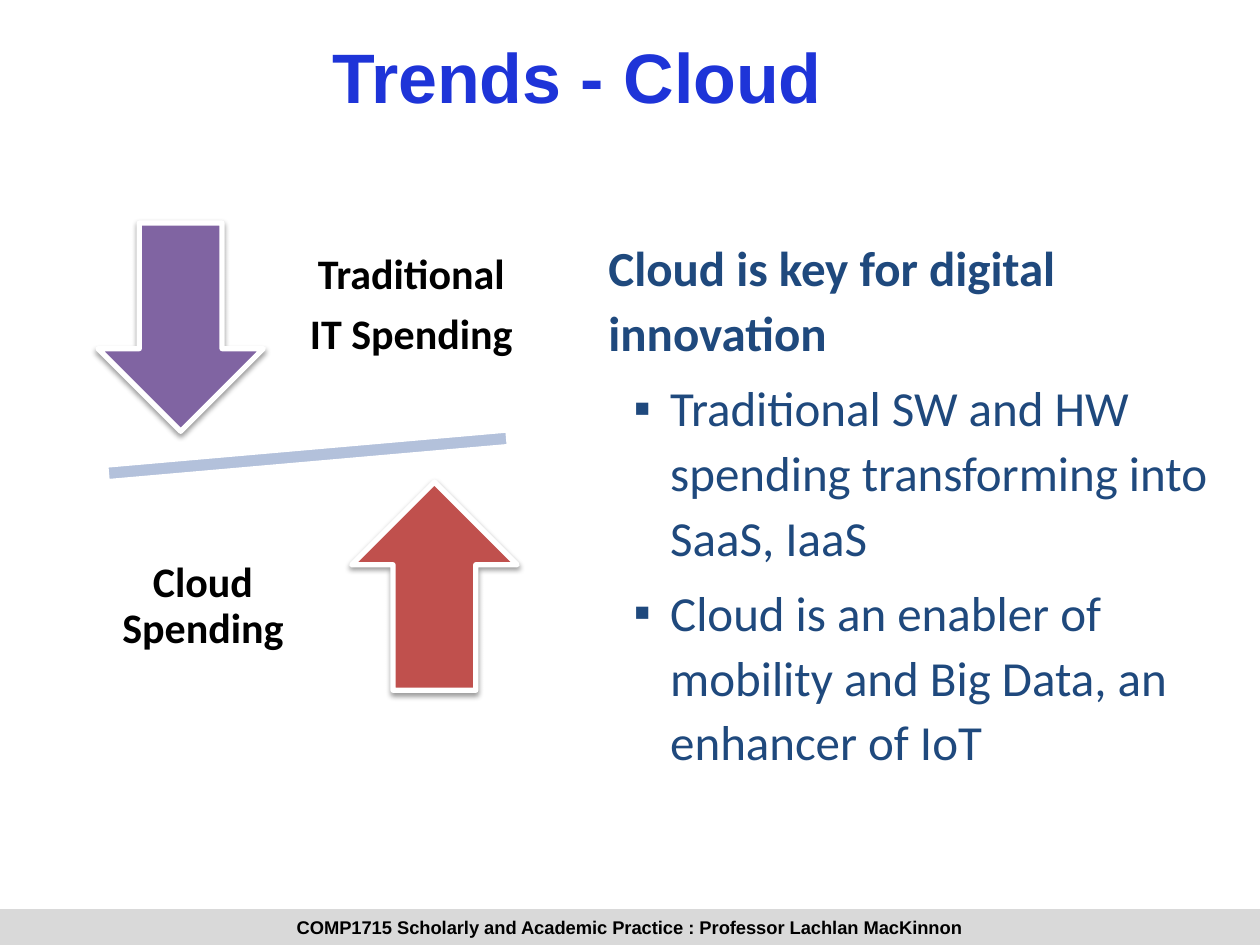
import pptx
import pptx.util
import pptx.dml.color
import pptx.enum.shapes
import pptx.enum.text
import pptx.oxml

Pt = pptx.util.Pt
SHAPE = pptx.enum.shapes.MSO_SHAPE
ALIGN = pptx.enum.text.PP_ALIGN
ANCHOR = pptx.enum.text.MSO_ANCHOR
NS = 'xmlns:a="http://schemas.openxmlformats.org/drawingml/2006/main"'
SHADOW = (f'<a:outerShdw {NS} blurRad="{Pt(3.1)}" dist="{Pt(1.6)}" dir="5400000" rotWithShape="0">'
          '<a:srgbClr val="000000"><a:alpha val="38000"/></a:srgbClr></a:outerShdw>')


def rgb(value):
    return pptx.dml.color.RGBColor.from_string(value)


def write(sp, lines, font, color, para, inset=(7.2, 3.6), anchor=ANCHOR.MIDDLE):
    tf = sp.text_frame
    frame = {"word_wrap": True, "auto_size": pptx.enum.text.MSO_AUTO_SIZE.NONE,
             "vertical_anchor": anchor,
             "margin_left": Pt(inset[0]), "margin_right": Pt(inset[0]),
             "margin_top": Pt(inset[1]), "margin_bottom": Pt(inset[1])}
    for key, value in frame.items():
        setattr(tf, key, value)
    for i, line in enumerate(lines):
        p = tf.paragraphs[0] if i == 0 else tf.add_paragraph()
        for key, value in para.items():
            setattr(p, key, value)
        r = p.add_run()
        r.text = line
        for key, value in font.items():
            setattr(r.font, key, value)
        r.font.color.rgb = rgb(color)


prs = pptx.Presentation()
prs.slide_width, prs.slide_height = Pt(720), Pt(540)
s = prs.slides.add_slide(prs.slide_layouts[1])
title, body = s.placeholders

shapes = [
    (SHAPE.RECTANGLE, (0, 519.5, 720, 20.5), "D9D9D9", 0, 0, False),
    (SHAPE.MATH_MINUS, (19.5, 242.5, 312.5, 36), "B3C1DB", 2, -5, False),
    (SHAPE.DOWN_ARROW, (56, 127.5, 94.5, 119), "8064A2", 3, 0, True),
    (SHAPE.UP_ARROW, (201, 275.5, 94.5, 119), "C0504D", 3, 0, True),
]
for kind, box, fill, width, rotation, shadow in shapes:
    sp = s.shapes.add_shape(kind, *map(Pt, box))
    sp.rotation = rotation
    sp.fill.solid()
    sp.fill.fore_color.rgb = rgb(fill)
    if width:
        sp.line.width = Pt(width)
        sp.line.color.rgb = rgb("FFFFFF")
    else:
        sp.line.fill.background()
        write(sp, ["COMP1715 Scholarly and Academic Practice : Professor Lachlan MacKinnon"],
              {"name": "Arial", "size": Pt(10.5), "bold": True}, "000000",
              {"alignment": ALIGN.CENTER})
    sp.shadow.inherit = False
    if shadow:
        sp.element.spPr.find(pptx.oxml.ns.qn("a:effectLst")).append(pptx.oxml.parse_xml(SHADOW))

labels = [
    ((145.5, 112.5, 179, 124.5), ["Traditional", "IT Spending"]),
    ((44, 284.5, 144, 124.5), ["Cloud Spending"]),
]
for box, lines in labels:
    sp = s.shapes.add_textbox(*map(Pt, box))
    write(sp, lines, {"name": "Calibri", "size": Pt(24), "bold": True}, "000000",
          {"alignment": ALIGN.CENTER, "line_spacing": 0.9, "space_after": Pt(8.4)},
          (13.5, 13.5))

for sp, box in ((title, (57, 16.5, 545.5, 53.5)), (body, (340.5, 129, 360, 318))):
    sp.left, sp.top, sp.width, sp.height = map(Pt, box)
write(title, ["Trends - Cloud"], {"name": "Arial", "size": Pt(40), "bold": True}, "1E34D8",
      {"alignment": ALIGN.CENTER})
write(body, ["Cloud is key for digital innovation",
             "Traditional SW and HW spending transforming into SaaS, IaaS",
             "Cloud is an enabler of mobility and Big Data, an enhancer of IoT"],
      {"name": "Calibri", "size": Pt(28)}, "1F497D",
      {"line_spacing": 1.1, "space_before": Pt(6)}, anchor=ANCHOR.TOP)
for i, p in enumerate(body.text_frame.paragraphs):
    p.runs[0].font.bold = i == 0
    pPr = p._p.get_or_add_pPr()
    pPr.set("marL", str(Pt(35.3 if i else 0)))
    pPr.set("indent", str(Pt(-20.9 if i else 0)))
    bullet = f'<a:buChar {NS} char="▪"/>' if i else f'<a:buNone {NS}/>'
    pPr.append(pptx.oxml.parse_xml(bullet))

prs.save("out.pptx")
